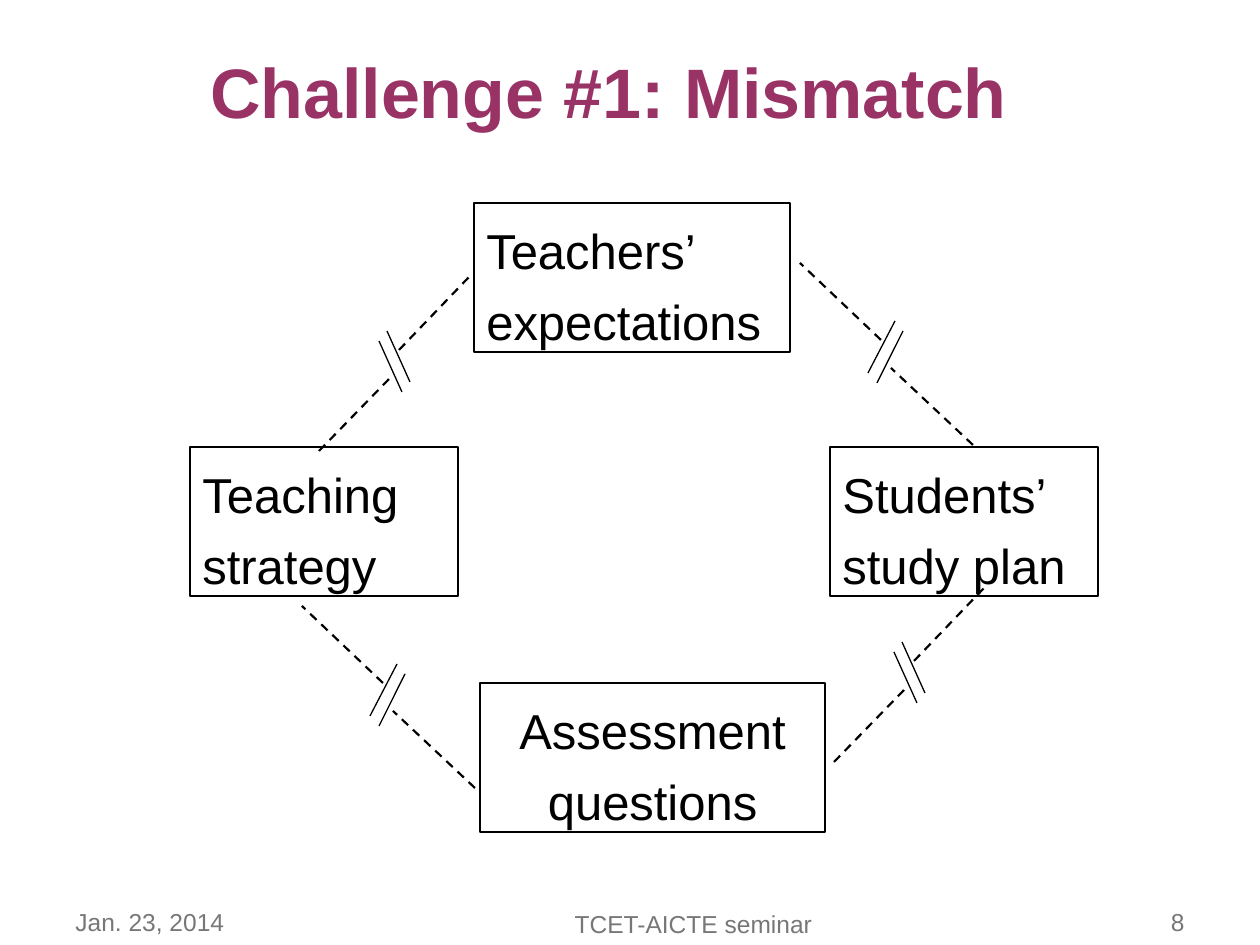
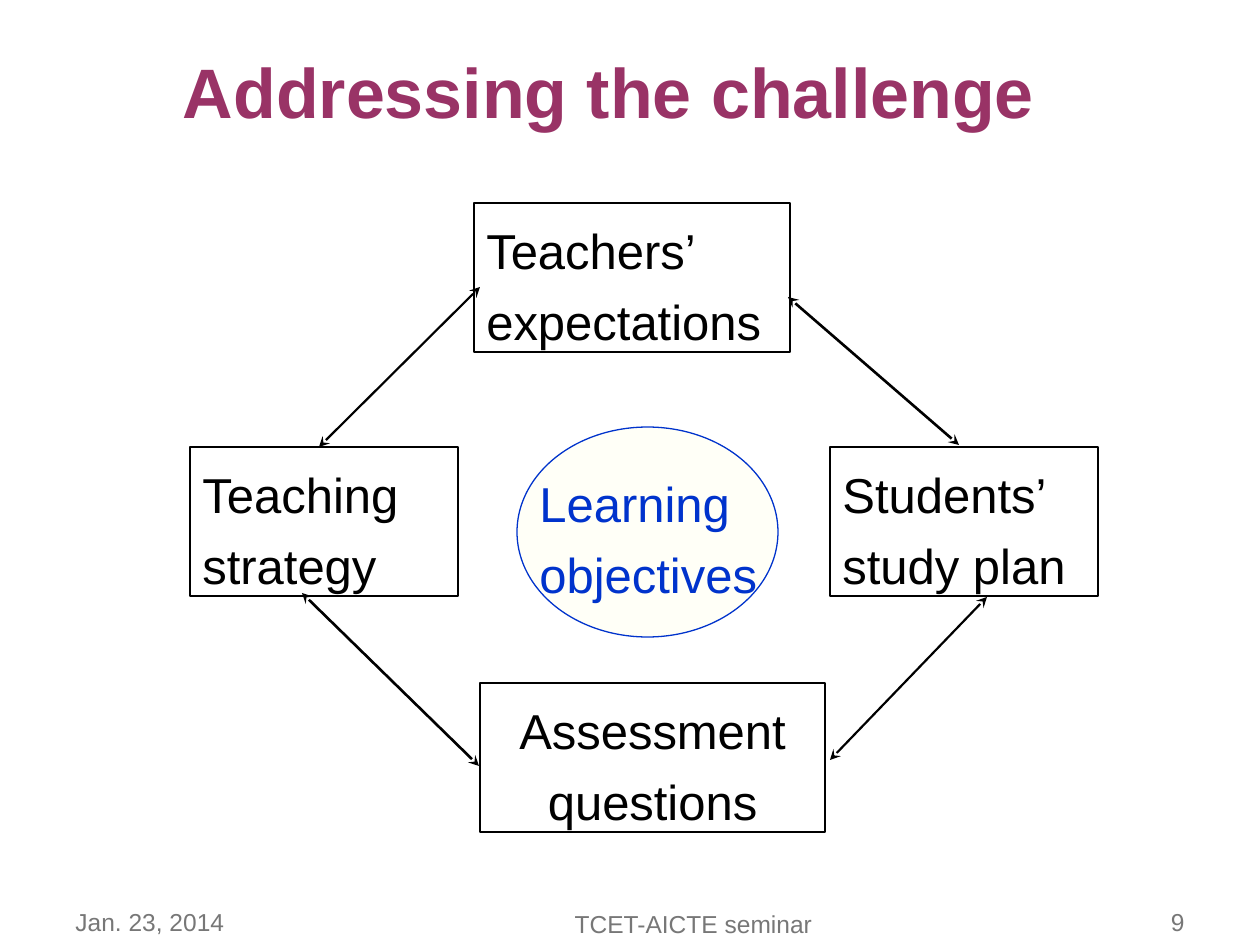
"""Build two slides on mismatched and aligned teaching goals."""
from dataclasses import dataclass

from lxml.etree import SubElement as Sub
from pptx import Presentation
from pptx.dml.color import RGBColor as Rgb
from pptx.enum.dml import MSO_LINE_DASH_STYLE as Dash
from pptx.enum.shapes import MSO_CONNECTOR as Conn, MSO_SHAPE as Shape
from pptx.enum.text import MSO_ANCHOR as Anchor, MSO_AUTO_SIZE as Auto, PP_ALIGN as Align
from pptx.oxml.ns import qn
from pptx.util import Emu, Pt


@dataclass(frozen=True)
class Theme:
    font: str = "Arial"
    plum: str = "993366"
    ink: str = "000000"
    blue: str = "0033CC"
    cream: str = "FFFFF7"
    gray: str = "777777"
    title: int = 40
    body: int = 28
    foot: int = 14
    thin: float = 0.75
    mid: float = 1.25
    bold: float = 1.5
    lead: float = 1.2


T = Theme()
SCALE = 914400 / 126
PAGE = (1260, 945)
HEAD = (0, 42, 1217, 97)
TALL = 149
LEFT, MID, RIGHT = Align.LEFT, Align.CENTER, Align.RIGHT

TITLES = ["Challenge #1: Mismatch", "Addressing the challenge"]
FIRST = 8
BOXES = [
    ("Teachers’ expectations", 474, 203, 316, LEFT),
    ("Teaching strategy", 190, 447, 268, LEFT),
    ("Assessment questions", 480, 683, 345, MID),
    ("Students’ study plan", 830, 447, 268, LEFT),
]
GOAL = ("Learning objectives", (527, 456, 263, TALL))
OVAL = (517, 427, 261, 210)
RISE = {
    "dash": [(0, 0, 72, -74), (80, -101, 151, -175)],
    "tick": [(68, -120, 91, -69), (60, -110, 83, -59)],
}
FALL = {
    "dash": [(0, 0, -82, -77), (-92, -105, -173, -182)],
    "tick": [(-78, -124, -105, -72), (-70, -114, -96, -62)],
}
GAPS = [(RISE, 319, 451), (RISE, 834, 762), (FALL, 973, 445), (FALL, 475, 788)]
LINKS = [
    ((319, 447, 480, 287), T.mid),
    ((959, 445, 788, 297), T.bold),
    ((830, 760, 987, 597), T.mid),
    ((479, 766, 302, 593), T.bold),
]


def px(*nums):
    return [Emu(round(n * SCALE)) for n in nums]


def write(shape, text, size=T.body, color=T.ink, bold=False, align=LEFT, lead=1.0):
    frame = shape.text_frame
    frame.auto_size = Auto.NONE
    frame.word_wrap = True
    frame.vertical_anchor = Anchor.TOP
    para = frame.paragraphs[0]
    para.alignment, para.line_spacing, para.space_before = align, lead, Pt(0)
    run = para.add_run()
    run.text = text
    font = run.font
    font.name, font.size, font.bold = T.font, Pt(size), bold
    font.color.rgb = Rgb.from_string(color)


def label(slide, text, area, **form):
    write(slide.shapes.add_textbox(*px(*area)), text, **form)


def panel(slide, kind, area, color=T.ink, fill=None):
    shape = slide.shapes.add_shape(kind, *px(*area))
    shape.shadow.inherit = False
    if fill:
        shape.fill.solid()
        shape.fill.fore_color.rgb = Rgb.from_string(fill)
    else:
        shape.fill.background()
    shape.line.color.rgb = Rgb.from_string(color)
    shape.line.width = Pt(T.thin)
    return shape


def stroke(slide, ends, width, dash=None, tips=()):
    line = slide.shapes.add_connector(Conn.STRAIGHT, *px(*ends))
    line.line.color.rgb = Rgb.from_string(T.ink)
    line.line.width = Pt(width)
    if dash:
        line.line.dash_style = dash
    for tip in tips:
        Sub(line.line._get_or_add_ln(), qn("a:" + tip), type="stealth")
    Sub(line._element.spPr, qn("a:effectLst"))


def base(deck, title, num):
    slide = deck.slides.add_slide(deck.slide_layouts[5])
    head = slide.shapes.title
    head.left, head.top, head.width, head.height = px(*HEAD)
    write(head, title, size=T.title, color=T.plum, bold=True, align=MID)
    for text, x, y, wide, align in BOXES:
        box = panel(slide, Shape.RECTANGLE, (x, y, wide, TALL))
        write(box, text, align=align, lead=T.lead)
    feet = [
        ("TCET-AICTE seminar", (494, 903, 399, 55), MID),
        (str(num), (1018, 901, 179, 55), RIGHT),
        ("Jan. 23, 2014", (63, 901, 294, 55), LEFT),
    ]
    for text, area, align in feet:
        label(slide, text, area, size=T.foot, color=T.gray, align=align)
    return slide


def breaks(slide):
    for kind, x, y in GAPS:
        for part, width, dash in (("dash", T.mid, Dash.DASH), ("tick", T.thin, None)):
            for a, b, c, d in kind[part]:
                stroke(slide, (x + a, y + b, x + c, y + d), width, dash)


def bonds(slide):
    for ends, width in LINKS:
        stroke(slide, ends, width, tips=("headEnd", "tailEnd"))
    panel(slide, Shape.OVAL, OVAL, color=T.blue, fill=T.cream)
    label(slide, *GOAL, color=T.blue, lead=T.lead)


def main():
    deck = Presentation()
    deck.slide_width, deck.slide_height = px(*PAGE)
    for num, (title, draw) in enumerate(zip(TITLES, (breaks, bonds)), FIRST):
        draw(base(deck, title, num))
    deck.save("out.pptx")


if __name__ == "__main__":
    main()
